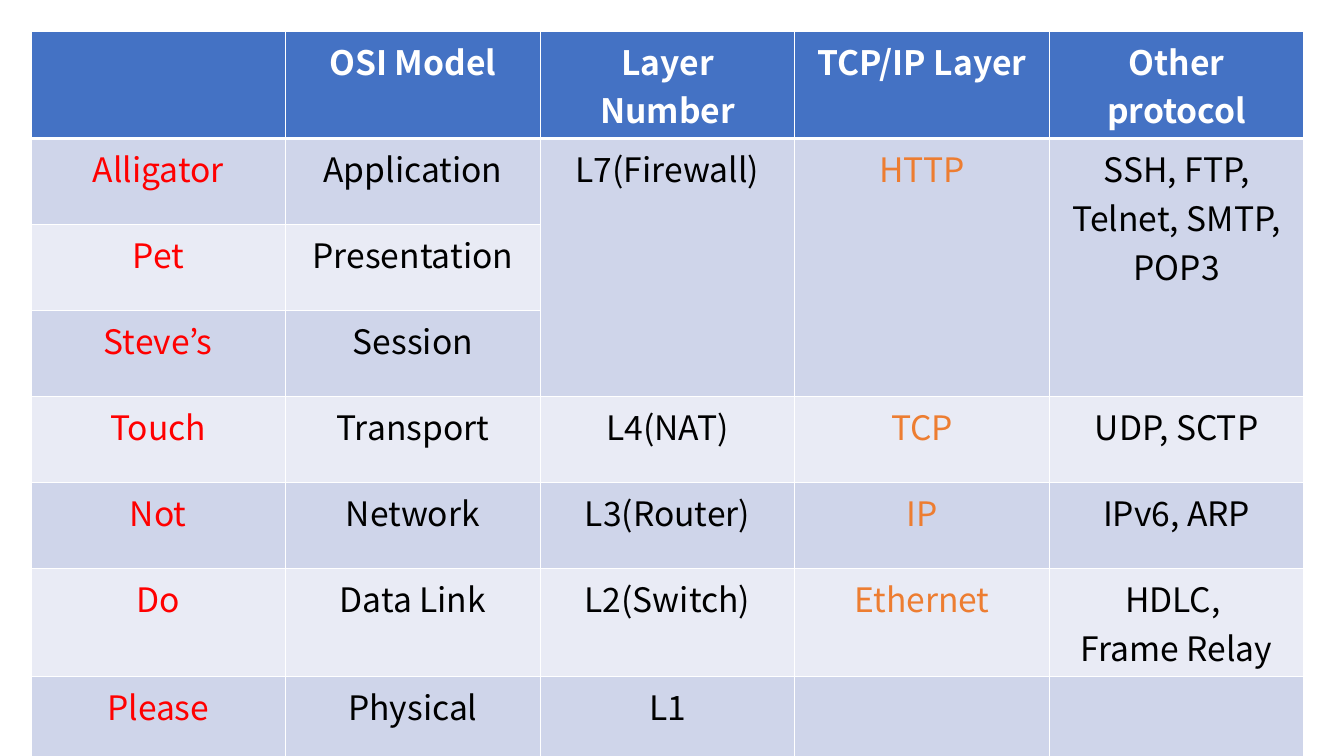
from lxml import etree
from pptx import Presentation, util as u
from pptx.dml import color as dml
from pptx.enum import text
from pptx.oxml import ns

WHITE, BLACK, RED, ORANGE = "FFFFFF", "000000", "FF0000", "ED7D31"
HEADER_FILL, BAND_FILLS = "4472C4", ("E9EBF5", "CFD5EA")
COLUMN_COLORS = (RED, BLACK, BLACK, ORANGE, BLACK)

LAYERS = [
    ("", "OSI Model", "Layer Number", "TCP/IP Layer", "Other protocol"),
    ("Alligator", "Application", "L7(Firewall)", "HTTP", "SSH, FTP,\nTelnet, SMTP, POP3"),
    ("Pet", "Presentation", "", "", ""),
    ("Steve’s", "Session", "", "", ""),
    ("Touch", "Transport", "L4(NAT)", "TCP", "UDP, SCTP"),
    ("Not", "Network", "L3(Router)", "IP", "IPv6, ARP"),
    ("Do", "Data Link", "L2(Switch)", "Ethernet", "HDLC, \nFrame Relay"),
    ("Please", "Physical", "L1", "", ""),
]


def px(length):
    return u.Inches(length / 100.8)


def rgb(value):
    return dml.RGBColor.from_string(value)


class Page:
    """Holds the text style and the current slide, and draws tables on it."""

    def __init__(self, slide, font, size):
        self.slide, self.font, self.size = slide, font, size

    def border(self, cell, side, points):
        line = etree.SubElement(cell._tc.get_or_add_tcPr(), ns.qn(f"a:ln{side}"), w=str(u.Pt(points)))
        fill = etree.SubElement(line, ns.qn("a:solidFill"))
        etree.SubElement(fill, ns.qn("a:srgbClr"), val=WHITE)

    def cell(self, cell, words, fill, color, header):
        for side in "LRTB":
            self.border(cell, side, 3 if header and side == "B" else 1)
        cell.fill.solid()
        cell.fill.fore_color.rgb = rgb(fill)
        if not words:
            return
        for index, line in enumerate(words.split("\n")):
            frame = cell.text_frame
            para = frame.add_paragraph() if index else frame.paragraphs[0]
            para.alignment = text.PP_ALIGN.CENTER
            span = para.add_run()
            span.text = line
            span.font.name, span.font.size = self.font, u.Pt(self.size)
            span.font.bold = header
            span.font.color.rgb = rgb(color)

    def table(self, left, top, width, row_height, rows):
        columns = len(rows[0])
        frame = self.slide.shapes.add_table(
            len(rows), columns, px(left), px(top), px(width), px(row_height * len(rows)))
        table = frame.table
        for row_index, row in enumerate(rows):
            table.rows[row_index].height = px(row_height)
            header = row_index == 0
            fill = HEADER_FILL if header else BAND_FILLS[row_index % 2]
            for column, words in enumerate(row):
                color = WHITE if header else COLUMN_COLORS[column]
                self.cell(table.cell(row_index, column), words, fill, color, header)
        return table


def main():
    deck = Presentation()
    deck.slide_width, deck.slide_height = px(1344), px(756)
    page = Page(deck.slides.add_slide(deck.slide_layouts[6]), "Noto Sans CJK KR", 24)
    table = page.table(31, 31, 1273, 86, LAYERS)
    for column in range(2, 5):
        table.cell(1, column).merge(table.cell(3, column))
    deck.save("out.pptx")


if __name__ == "__main__":
    main()
